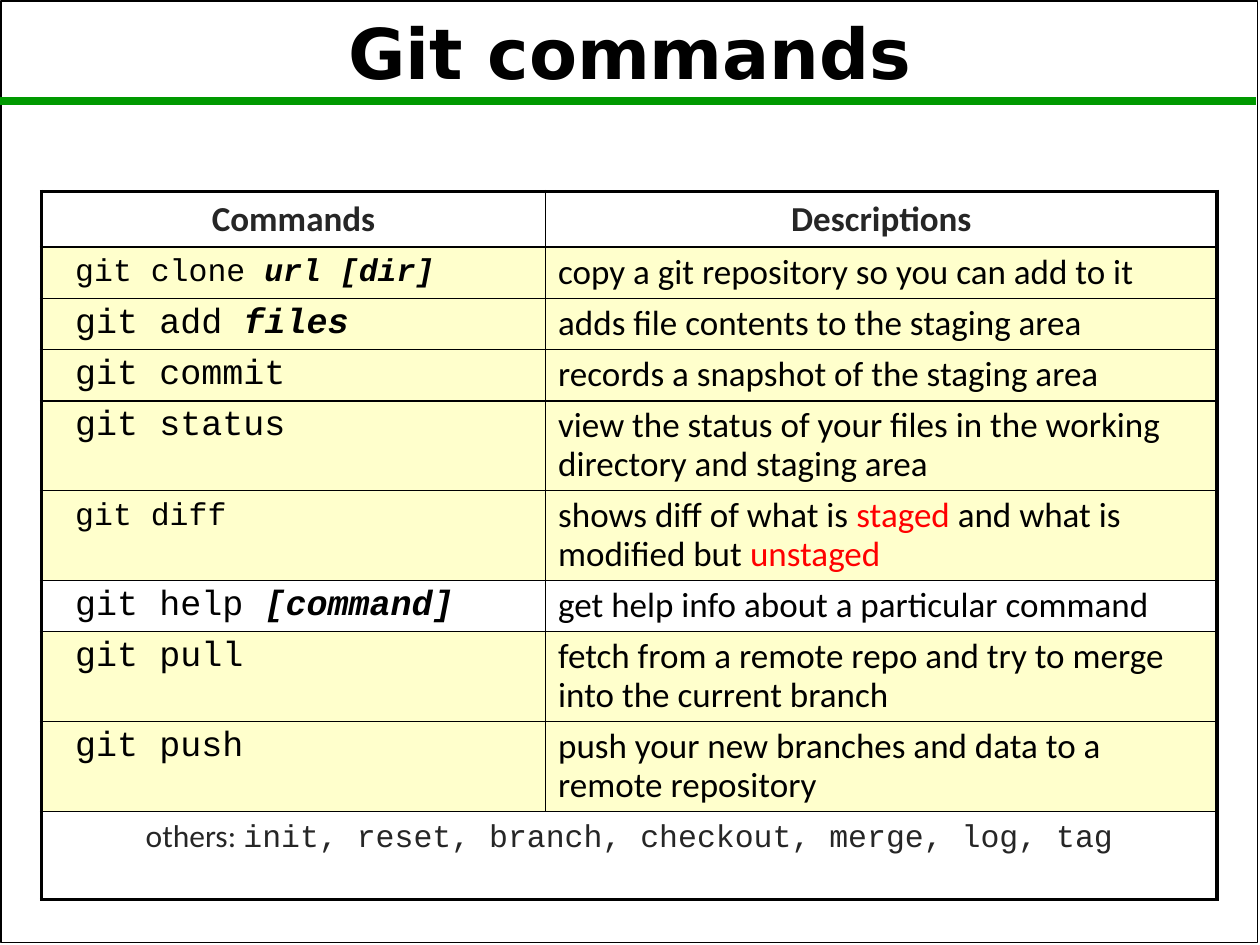
import pptx
import pptx.util
import pptx.dml.color
import pptx.enum.shapes
import pptx.enum.text
import pptx.oxml
import pptx.oxml.ns
from pptx.util import Inches

COLORS = {"black": "000000", "gray": "262626", "red": "FF0000",
          "green": "009900", "yellow": "FFFFCC"}
TEXT, MONO, HEAD = "Calibri", "Courier New", "DejaVu Sans"
COL_WIDTHS = (4, 5.33)
THICK, THIN = 2.25, 1

# command, its argument, command size, row height, highlighted, description as (text, color)
COMMANDS = [
    ("git clone ", "url [dir]", 18, 0.4, True,
     [("copy a git repository so you can add to it", "black")]),
    ("git add ", "files", 20, 0.4, True,
     [("adds file contents to the staging area", "black")]),
    ("git commit", "", 20, 0.4, True,
     [("records a snapshot of the staging area", "black")]),
    ("git status", "", 20, 0.7, True,
     [("view the status of your files in the working directory and staging area", "black")]),
    ("git diff", "", 18, 0.7, True,
     [("shows diff of what is ", "black"), ("staged", "red"),
      (" and what is modified but ", "black"), ("unstaged", "red")]),
    ("git help ", "[command]", 20, 0.4, False,
     [("get help info about a particular command", "black")]),
    ("git pull", "", 20, 0.7, True,
     [("fetch from a remote repo and try to merge into the current branch", "black")]),
    ("git push", "", 20, 0.7, True,
     [("push your new branches and data to a remote repository", "black")]),
]


def rgb(name):
    return pptx.dml.color.RGBColor.from_string(COLORS[name])


def add_run(p, text, font, size=20, color="black", bold=False, italic=False):
    r = p.add_run()
    r.text = text
    r.font.name = font
    r.font.size = pptx.util.Pt(size)
    r.font.color.rgb = rgb(color)
    r.font.bold = bold
    r.font.italic = italic


def format_paragraph(tf, centered=False, spacing=None):
    p = tf.paragraphs[0]
    p.alignment = (pptx.enum.text.PP_ALIGN.CENTER if centered
                   else pptx.enum.text.PP_ALIGN.LEFT)
    p.line_spacing = spacing
    return p


def set_borders(cell, widths):
    """Widths are points, in the order left, right, top, bottom."""
    tcPr = cell._tc.get_or_add_tcPr()
    for i, (side, width) in enumerate(zip("LRTB", widths)):
        ns = pptx.oxml.ns.nsdecls("a")
        tcPr.insert(i, pptx.oxml.parse_xml(
            f'<a:ln{side} {ns} w="{pptx.util.Pt(width)}"><a:solidFill>'
            f'<a:srgbClr val="{COLORS["black"]}"/></a:solidFill></a:ln{side}>'))


def add_frame(s, left, top, width, height):
    sp = s.shapes.add_shape(pptx.enum.shapes.MSO_SHAPE.RECTANGLE, left, top, width, height)
    sp.shadow.inherit = False
    sp.fill.background()
    sp.line.color.rgb = rgb("black")
    sp.line.width = pptx.util.Pt(1)


def add_header(s, left, top, width, height):
    """Title with the green rule along the bottom of its box."""
    sp = s.shapes.title
    sp.left, sp.top, sp.width, sp.height = left, top, width, height
    tf = sp.text_frame
    tf.word_wrap = True
    tf.auto_size = pptx.enum.text.MSO_AUTO_SIZE.NONE
    tf.vertical_anchor = pptx.enum.text.MSO_ANCHOR.MIDDLE
    p = format_paragraph(tf, centered=True, spacing=0.9)
    add_run(p, "Git commands", HEAD, 40, bold=True)

    y = top + height
    rule = s.shapes.add_connector(pptx.enum.shapes.MSO_CONNECTOR.STRAIGHT,
                                  0, y, Inches(9.97), y)
    rule.line.color.rgb = rgb("green")
    rule.line.width = pptx.util.Pt(4.5)
    rule._element.spPr.append(
        pptx.oxml.parse_xml(f'<a:effectLst {pptx.oxml.ns.nsdecls("a")}/>'))


def add_commands_table(s, left, top, width, height):
    row_heights = [0.43] + [command[3] for command in COMMANDS] + [0.7]
    last = len(row_heights) - 1
    table = s.shapes.add_table(last + 1, 2, left, top, width, height).table
    table.first_row = table.horz_banding = False
    for col, w in zip(table.columns, COL_WIDTHS):
        col.width = Inches(w)
    for row, h in zip(table.rows, row_heights):
        row.height = Inches(h)

    for i in range(last + 1):
        for j in range(2):
            cell = table.cell(i, j)
            if 0 < i < last and COMMANDS[i - 1][4]:
                cell.fill.solid()
                cell.fill.fore_color.rgb = rgb("yellow")
            else:
                cell.fill.background()
            set_borders(cell, [THICK if edge else THIN for edge in
                               (j == 0, j == 1 or i == last, i == 0, i == last)])

    for j, heading in enumerate(("Commands", "Descriptions")):
        p = format_paragraph(table.cell(0, j).text_frame, centered=True)
        add_run(p, heading, TEXT, color="gray", bold=True)

    for i, (command, argument, size, _, _, description) in enumerate(COMMANDS, 1):
        p = format_paragraph(table.cell(i, 0).text_frame, spacing=0.9)
        add_run(p, " ", MONO)
        add_run(p, command, MONO, size)
        if argument:
            add_run(p, argument, MONO, size, bold=True, italic=True)
        p = format_paragraph(table.cell(i, 1).text_frame, spacing=0.9)
        for text, color in description:
            add_run(p, text, TEXT, color=color)

    footer = table.cell(last, 0)
    footer.merge(table.cell(last, 1))
    p = format_paragraph(footer.text_frame, centered=True)
    add_run(p, "others: ", TEXT, 18, "gray")
    add_run(p, "init, reset, branch, checkout, merge, log, tag", MONO, 18, "gray")


def main():
    prs = pptx.Presentation()
    prs.slide_width, prs.slide_height = Inches(10), Inches(7.5)
    s = prs.slides.add_slide(prs.slide_layouts[5])
    add_frame(s, Inches(0.01), Inches(0.01), Inches(9.97), Inches(7.47))
    add_header(s, Inches(0.05), Inches(0.11), Inches(9.9), Inches(0.69))
    add_commands_table(s, Inches(0.33), Inches(1.52), Inches(9.33), Inches(5.53))
    prs.save("out.pptx")


if __name__ == "__main__":
    main()
